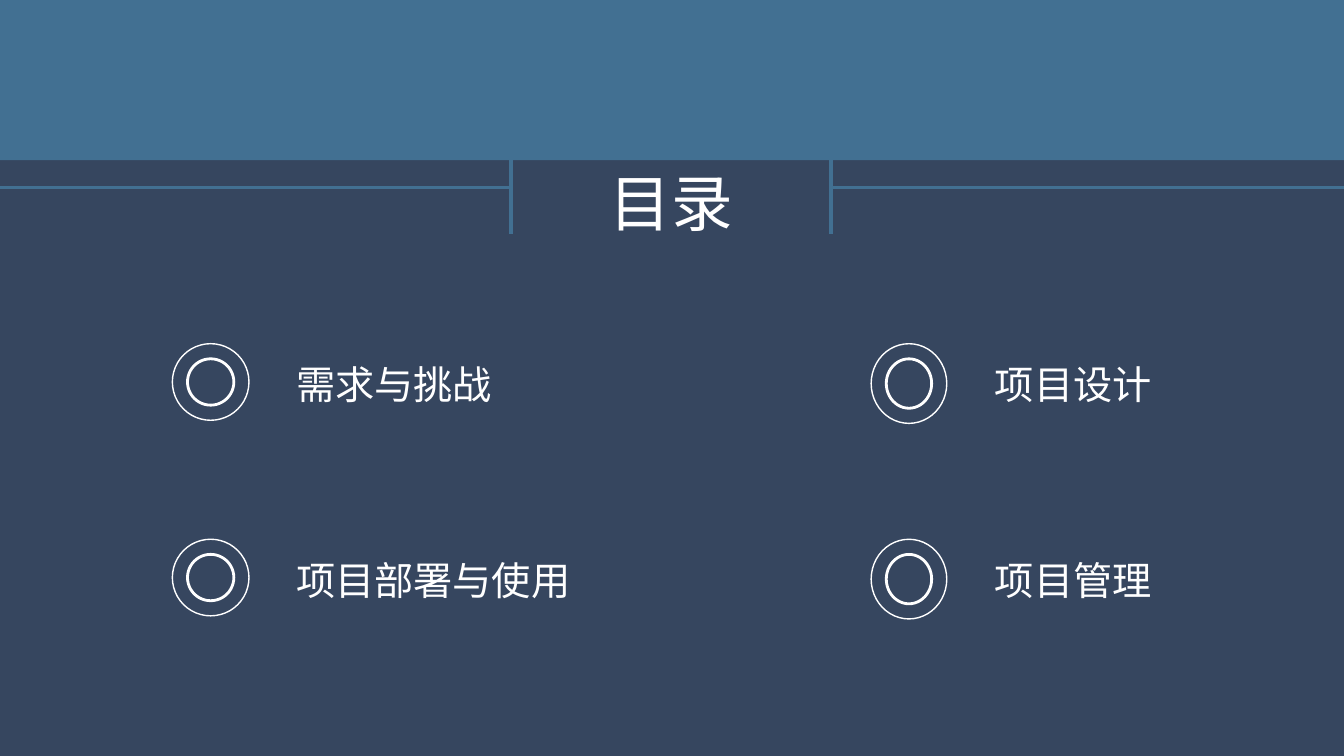
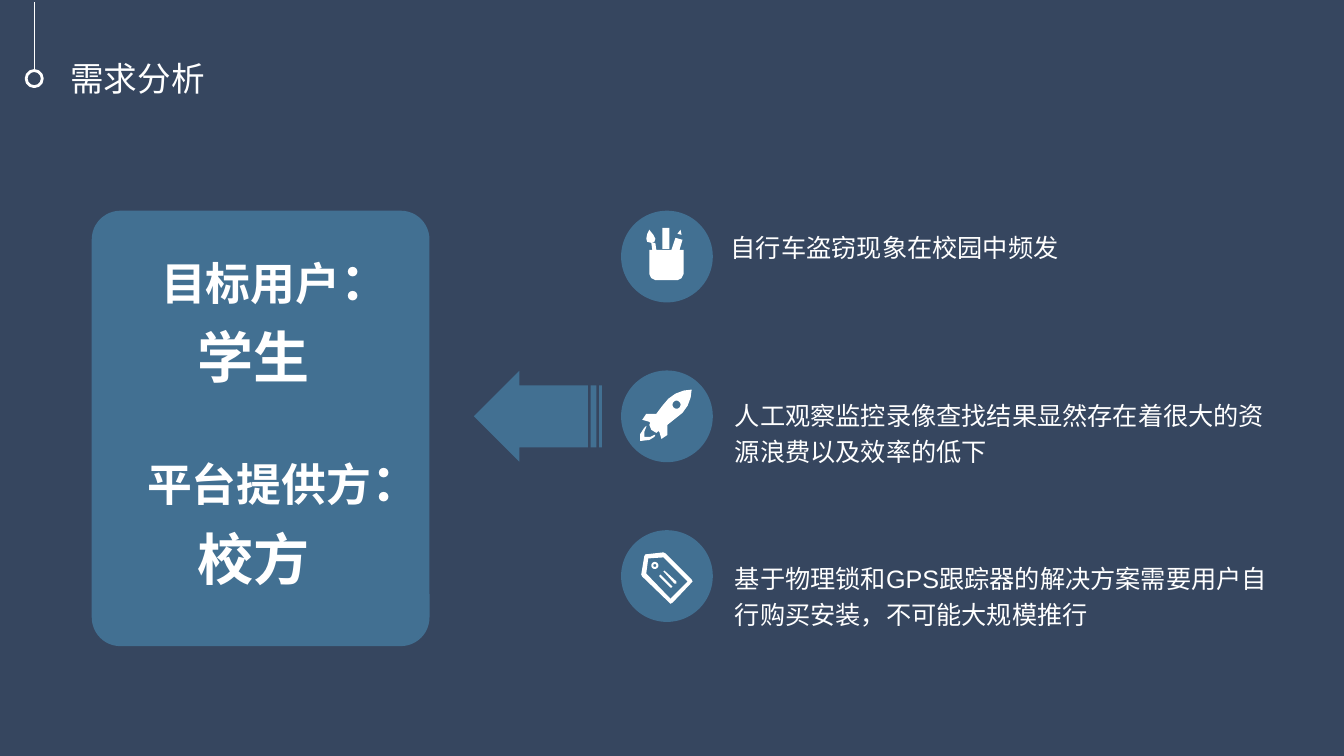
from math import cos, pi, sin

from lxml import etree
from pptx import Presentation
from pptx.dml.color import RGBColor
from pptx.enum import shapes, text
from pptx.oxml.ns import qn
from pptx.util import Inches, Pt

COLORS = {"navy": "36465F", "blue": "427092", "white": "FFFFFF"}
CJK = "Noto Sans CJK SC"
EAST_ASIAN = "Calibri"
KIND = shapes.MSO_SHAPE


def circle(cx, cy, radius, steps=24):
    return [(cx + radius * cos(2 * pi * i / steps), cy + radius * sin(2 * pi * i / steps))
            for i in range(steps)]


# Content: agenda columns as (left, ring width, ring height, entries)
AGENDA_TITLE = "目录"
AGENDA = [
    (1.71, 0.76, 0.76, [("需求与挑战", CJK), ("项目部署与使用", "Arial")]),
    (8.64, 0.75, 0.79, [("项目设计", "Arial"), ("项目管理", "Arial")]),
]

# Content: needs analysis
NEEDS_TITLE = "需求分析"
ROLES = [("目标用户", 1.5, "学生"), ("平台提供方", 1.36, "校方")]

# Icon outlines in hundredths of an inch from the corner of their disc
POT = [
    [(41, 17), (41, 38), (48, 38), (48, 17)],
    [(28, 19), (26, 23), (25, 28), (26, 31), (30, 32), (33, 31), (34, 28), (32, 24)],
    [(59, 19), (56, 23), (60, 24)],
    [(54, 27), (50, 39), (58, 39), (61, 29)],
    [(34, 32), (30, 32), (31, 39), (35, 39)],
    [(28, 39), (28, 63), (30, 67), (34, 69), (56, 69), (60, 67), (62, 63), (62, 39)],
]
ROCKET = [
    [(33, 64), (34, 64), (33, 66), (28, 69), (19, 70), (19, 63), (23, 57), (25, 55),
     (25, 56), (23, 61), (23, 66), (29, 66)],
    circle(55, 34, 4),
    [(70, 19), (62, 20), (54, 23), (47, 28), (41, 35), (35, 43), (25, 43), (21, 49),
     (28, 51), (29, 52), (28, 54), (30, 59), (35, 62), (37, 60), (38, 61), (40, 68),
     (46, 64), (46, 54), (61, 42), (66, 35), (69, 27)],
]
TAG = [
    [(44, 23), (42, 22), (24, 24), (23, 26), (20, 44), (21, 46), (48, 72), (49, 73),
     (51, 72), (70, 52), (71, 51), (70, 49)],
    [(49, 68), (25, 43), (27, 28), (42, 27), (66, 51)],
    circle(33.5, 35, 3.5),
    circle(33.5, 35, 1.5),
    [(53, 53), (55, 53), (55, 51), (44, 41), (43, 40), (42, 41), (43, 42)],
    [(40, 45), (39, 44), (38, 45), (38, 46), (49, 57), (50, 57), (51, 56), (50, 55)],
]
# (icon, text, font, left, top, line spacing)
REASONS = [
    (POT, "自行车盗窃现象在校园中频发", "Calibri", 7.15, 2.26, None),
    (ROCKET, "人工观察监控录像查找结果显然存在着很大的资源浪费以及效率的低下",
     "Calibri", 7.19, 3.86, 1.2),
    (TAG, "基于物理锁和GPS跟踪器的解决方案需要用户自行购买安装，不可能大规模推行",
     "Arial", 7.19, 5.48, 1.2),
]


def rgb(name):
    return RGBColor.from_string(COLORS[name])


def new_slide(prs):
    s = prs.slides.add_slide(prs.slide_layouts[6])
    s.background.fill.solid()
    s.background.fill.fore_color.rgb = rgb("navy")
    return s


def paint(sp, fill=None, line=None, weight=1):
    sp.shadow.inherit = False
    if fill:
        sp.fill.solid()
        sp.fill.fore_color.rgb = rgb(fill)
    else:
        sp.fill.background()
    if line:
        sp.line.color.rgb = rgb(line)
        sp.line.width = Pt(weight)
    else:
        sp.line.fill.background()
    return sp


def add_shape(s, kind, x, y, w, h, **style):
    sp = s.shapes.add_shape(kind, Inches(x), Inches(y), Inches(w), Inches(h))
    return paint(sp, **style)


def add_line(s, x1, y1, x2, y2, color, weight):
    c = s.shapes.add_connector(shapes.MSO_CONNECTOR.STRAIGHT,
                               Inches(x1), Inches(y1), Inches(x2), Inches(y2))
    c.line.color.rgb = rgb(color)
    c.line.width = Pt(weight)
    etree.SubElement(c._element.spPr, qn("a:effectLst"))


def add_text(s, runs, x, y, w, h, size=18, font="Arial", bold=False,
             align=text.PP_ALIGN.LEFT, spacing=None):
    """Runs is a string or a list of (string, size) pairs."""
    tf = s.shapes.add_textbox(Inches(x), Inches(y), Inches(w), Inches(h)).text_frame
    tf.word_wrap = True
    p = tf.paragraphs[0]
    p.alignment = align
    if spacing:
        p.line_spacing = spacing
    for content, run_size in [(runs, size)] if isinstance(runs, str) else runs:
        r = p.add_run()
        r.text = content
        r.font.size = Pt(run_size)
        r.font.name = font
        r.font.bold = bold
        r.font.color.rgb = rgb("white")
        etree.SubElement(r.font._element, qn("a:ea"), typeface=EAST_ASIAN)


def add_icon(s, outlines, x, y):
    scaled = [[(px * 10, py * 10) for px, py in outline] for outline in outlines]
    builder = s.shapes.build_freeform(*scaled[0][0], scale=Inches(0.001))
    for i, outline in enumerate(scaled):
        if i:
            builder.move_to(*outline[0])
        builder.add_line_segments(outline[1:], close=True)
    paint(builder.convert_to_shape(Inches(x), Inches(y)), fill="white")


def agenda_slide(prs):
    s = new_slide(prs)
    # Header band and title frame
    add_shape(s, KIND.RECTANGLE, 0, 0, 13.33, 1.59, fill="blue")
    for edge, post in ((0, 5.07), (13.33, 8.24)):
        add_line(s, edge, 1.86, post, 1.86, "blue", 1.5)
        add_line(s, post, 1.06, post, 2.32, "blue", 2.5)
    add_text(s, AGENDA_TITLE, 5.16, 1.59, 3, 0.84, size=44, font=CJK,
             align=text.PP_ALIGN.CENTER)
    # Entries with double rings
    inset = 0.15
    for x, w, h, entries in AGENDA:
        for row, (label, font) in enumerate(entries):
            y = 3.41 + row * 1.94
            add_shape(s, KIND.OVAL, x, y, w, h, line="white")
            add_shape(s, KIND.OVAL, x + inset, y + inset, w - 2 * inset, h - 2 * inset,
                      line="white", weight=2)
            add_text(s, label, x + 1.13, y + 0.12, 3.4, 0.57, size=28, font=font)


def needs_slide(prs):
    s = new_slide(prs)
    # Title with hanging ring
    add_text(s, NEEDS_TITLE, 0.6, 0.53, 3, 0.5, size=24, font=CJK)
    add_line(s, 0.34, 0.02, 0.34, 0.78, "white", 0.5)
    add_shape(s, KIND.OVAL, 0.26, 0.7, 0.16, 0.16, fill="navy", line="white", weight=2)
    # Role card
    card = add_shape(s, KIND.ROUNDED_RECTANGLE, 0.91, 2.09, 3.35, 4.32, fill="blue")
    card.adjustments[0] = 0.085
    for i, (role, x, who) in enumerate(ROLES):
        y = 2.43 + i * 2
        add_text(s, [(role, 32), ("：", 36)], x, y, 2.85, 0.72, bold=True)
        add_text(s, who, 1.86, y + 0.72, 1.98, 0.77, size=40, bold=True)
    # Arrow towards the card
    arrow = add_shape(s, KIND.STRIPED_RIGHT_ARROW, 4.7, 3.68, 1.27, 0.9, fill="blue")
    arrow.rotation = 180
    arrow.adjustments[0] = 0.685
    arrow.adjustments[1] = 0.5
    # Reasons
    for i, (icon, reason, font, x, y, spacing) in enumerate(REASONS):
        top = 2.09 + i * 1.585
        add_shape(s, KIND.OVAL, 6.16, top, 0.91, 0.91, fill="blue")
        add_icon(s, icon, 6.16, top)
        add_text(s, reason, x, y, 5.63, 0.8, font=font, spacing=spacing)


def main():
    prs = Presentation()
    prs.slide_width, prs.slide_height = Inches(13.33), Inches(7.5)
    agenda_slide(prs)
    needs_slide(prs)
    prs.save("out.pptx")


if __name__ == "__main__":
    main()
